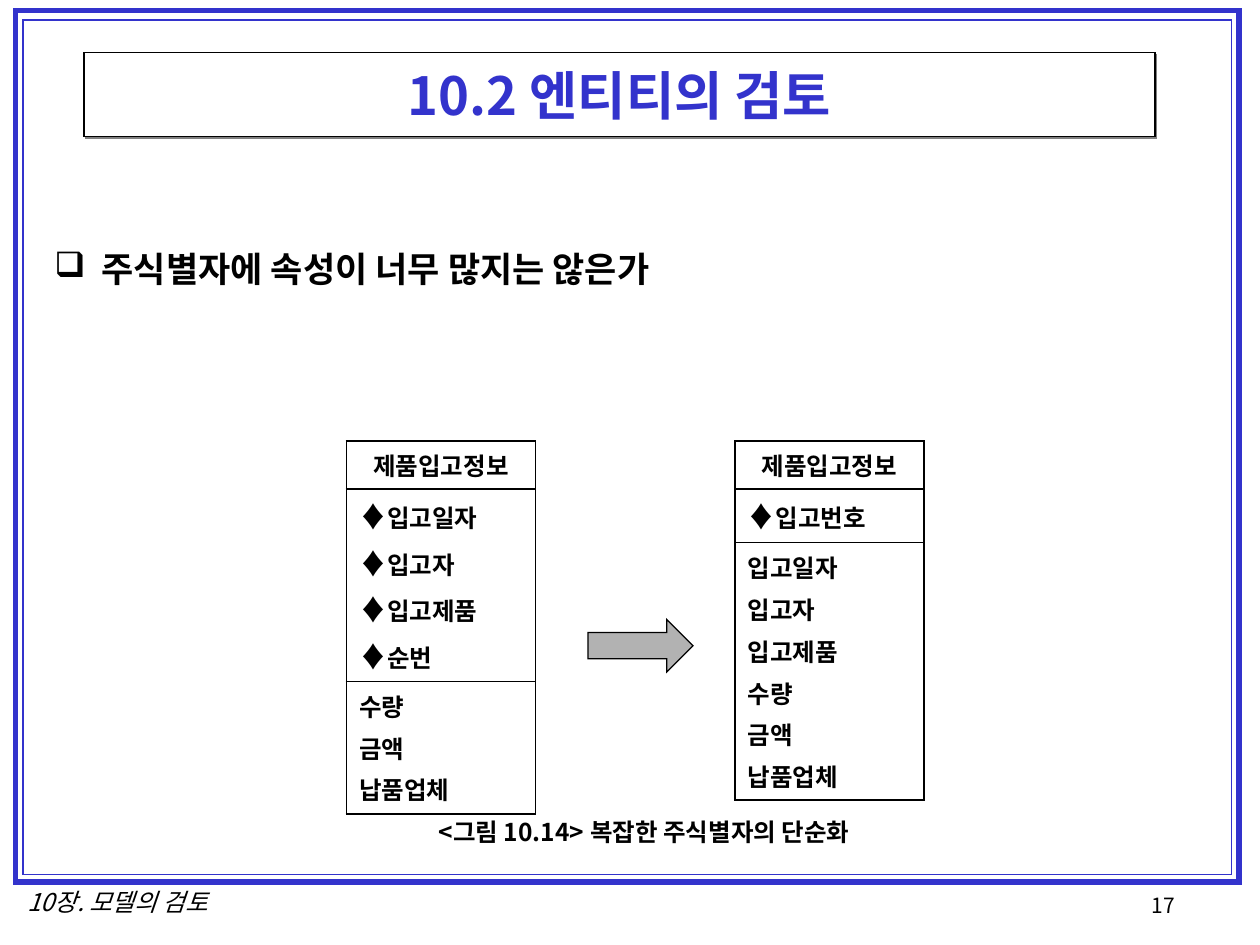
import pptx
import pptx.util
import pptx.dml.color
import pptx.enum.shapes
import pptx.enum.text
import pptx.oxml
import pptx.oxml.ns
from lxml import etree

COLORS = {"blue": "3333CC", "black": "000000", "white": "FFFFFF",
          "gray": "B2B2B2", "shadow": "808080"}
FONT = "Noto Sans CJK KR"
MARK_FONT = "Arial"
COLUMNS, ROWS = 120, 90  # slide grid

ALIGN = pptx.enum.text.PP_ALIGN
SHAPES = pptx.enum.shapes.MSO_SHAPE
qn = pptx.oxml.ns.qn

presentation = pptx.Presentation()
presentation.slide_width = pptx.util.Inches(10)
presentation.slide_height = pptx.util.Inches(7.5)


def across(columns):
    return round(presentation.slide_width * columns / COLUMNS)


def down(rows):
    return round(presentation.slide_height * rows / ROWS)


def place(box):
    left, top, width, height = box
    return across(left), down(top), across(width), down(height)


def rgb(name):
    return pptx.dml.color.RGBColor.from_string(COLORS[name])


def add_run(paragraph, text, size, color="black", bold=False, italic=False, font=FONT):
    run = paragraph.add_run()
    run.text = text
    run.font.size = pptx.util.Pt(size)
    run.font.bold = bold
    run.font.italic = italic
    run.font.name = font
    run.font.color.rgb = rgb(color)
    # East Asian letters and symbols take their own font element
    etree.SubElement(run.font._element, qn("a:ea")).set("typeface", FONT)


def add_box(slide, box, line_width, line="black", fill=None, preset=SHAPES.RECTANGLE):
    shape = slide.shapes.add_shape(preset, *place(box))
    shape.shadow.inherit = False
    if fill:
        shape.fill.solid()
        shape.fill.fore_color.rgb = rgb(fill)
    else:
        shape.fill.background()
    shape.line.color.rgb = rgb(line)
    shape.line.width = pptx.util.Pt(line_width)
    # Square corners
    outline = shape._element.spPr.find(qn("a:ln"))
    etree.SubElement(outline, qn("a:miter")).set("lim", "800000")
    return shape


def add_label(slide, box, text, size, align=ALIGN.LEFT, wrap=False, **style):
    frame = slide.shapes.add_textbox(*place(box)).text_frame
    frame.word_wrap = wrap
    paragraph = frame.paragraphs[0]
    paragraph.alignment = align
    add_run(paragraph, text, size, **style)
    return paragraph


def add_frame(slide, box):
    """Double border: a thick outline with a thin one inside."""
    left, top, width, height = box
    add_box(slide, box, 3, "blue")
    add_box(slide, (left + 0.7, top + 0.9, width - 1.4, height - 1.6), 1, "blue")


def add_footer(slide, box):
    left, top, width, height = box
    add_label(slide, (left, top, 21.4, height), "10장. 모델의 검토", 14, ALIGN.CENTER, italic=True)
    add_label(slide, (left + width - 12.2, top + 0.5, 12.2, height), "17", 12)


def add_title(slide, box, text):
    shape = add_box(slide, box, 0.75, fill="white")
    effects = shape._element.spPr.find(qn("a:effectLst"))
    shadow = etree.SubElement(effects, qn("a:outerShdw"), dist="17780", dir="2700000",
                              algn="ctr", rotWithShape="0")
    etree.SubElement(shadow, qn("a:srgbClr")).set("val", COLORS["shadow"])
    frame = shape.text_frame
    frame.word_wrap = True
    frame.vertical_anchor = pptx.enum.text.MSO_ANCHOR.MIDDLE
    frame.paragraphs[0].alignment = ALIGN.CENTER
    add_run(frame.paragraphs[0], text, 30, "blue", bold=True)


def add_question(slide, box, text):
    paragraph = add_label(slide, box, text, 20, wrap=True, bold=True)
    properties = paragraph._p.get_or_add_pPr()
    indent = across(4.5)
    properties.set("marL", str(indent))
    properties.set("indent", str(-indent))
    etree.SubElement(properties, qn("a:buChar")).set("char", "❑")


def set_borders(cell, widths):
    """Widths are in points, in the order left, right, top, bottom."""
    properties = cell._tc.get_or_add_tcPr()
    for index, (side, width) in enumerate(zip("LRTB", widths)):
        line = etree.Element(qn("a:ln" + side), w=str(pptx.util.Pt(width)))
        fill = etree.SubElement(line, qn("a:solidFill"))
        etree.SubElement(fill, qn("a:srgbClr")).set("val", COLORS["black"])
        properties.insert(index, line)


def add_entity(slide, corner, width, row_heights, name, keys, attributes):
    """Entity table: name, marked key attributes, other attributes."""
    box = (*corner, width, sum(row_heights))
    table = slide.shapes.add_table(3, 1, *place(box)).table
    table.first_row = False
    table.horz_banding = False
    outer, inner = 1.08, 0.45
    sections = [([name], outer, outer), (keys, outer, inner), (attributes, inner, outer)]
    for index, (entries, top, bottom) in enumerate(sections):
        table.rows[index].height = down(row_heights[index])
        cell = table.cell(index, 0)
        cell.fill.background()
        set_borders(cell, (outer, outer, top, bottom))
        frame = cell.text_frame
        for number, entry in enumerate(entries):
            paragraph = frame.add_paragraph() if number else frame.paragraphs[0]
            paragraph.alignment = ALIGN.LEFT if index else ALIGN.CENTER
            if number:
                paragraph.space_before = pptx.util.Pt(3.5)
            if entries is keys:
                add_run(paragraph, "♦", 16, bold=True, font=MARK_FONT)
            add_run(paragraph, entry, 14, bold=True)


def add_figure(slide, box):
    """Entity before and after simplification, with an arrow and a caption."""
    left, top, width, height = box
    entity_width = 18
    add_entity(slide, (left, top), entity_width, (4.6, 18.3, 12.6), "제품입고정보",
               ["입고일자", "입고자", "입고제품", "순번"],
               ["수량", "금액", "납품업체"])
    add_entity(slide, (left + width - entity_width, top), entity_width, (4.6, 5.1, 24.5),
               "제품입고정보", ["입고번호"],
               ["입고일자", "입고자", "입고제품", "수량", "금액", "납품업체"])
    add_box(slide, (left + 23, top + 17, 10, 5), 0.75, fill="gray", preset=SHAPES.RIGHT_ARROW)
    add_label(slide, (left + 7.6, top + height - 6.8, 43.9, 6.8),
              "<그림 10.14> 복잡한 주식별자의 단순화", 14, bold=True)


def main():
    slide = presentation.slides.add_slide(presentation.slide_layouts[6])
    add_frame(slide, (1.5, 1, 116.5, 83))
    add_footer(slide, (0.5, 83.9, 120.2, 4))
    add_title(slide, (8, 5, 102, 8), "10.2 엔티티의 검토")
    add_question(slide, (4, 23, 111.2, 58.4), "주식별자에 속성이 너무 많지는 않은가")
    add_figure(slide, (33, 42, 55, 42))
    presentation.save("out.pptx")


if __name__ == "__main__":
    main()
